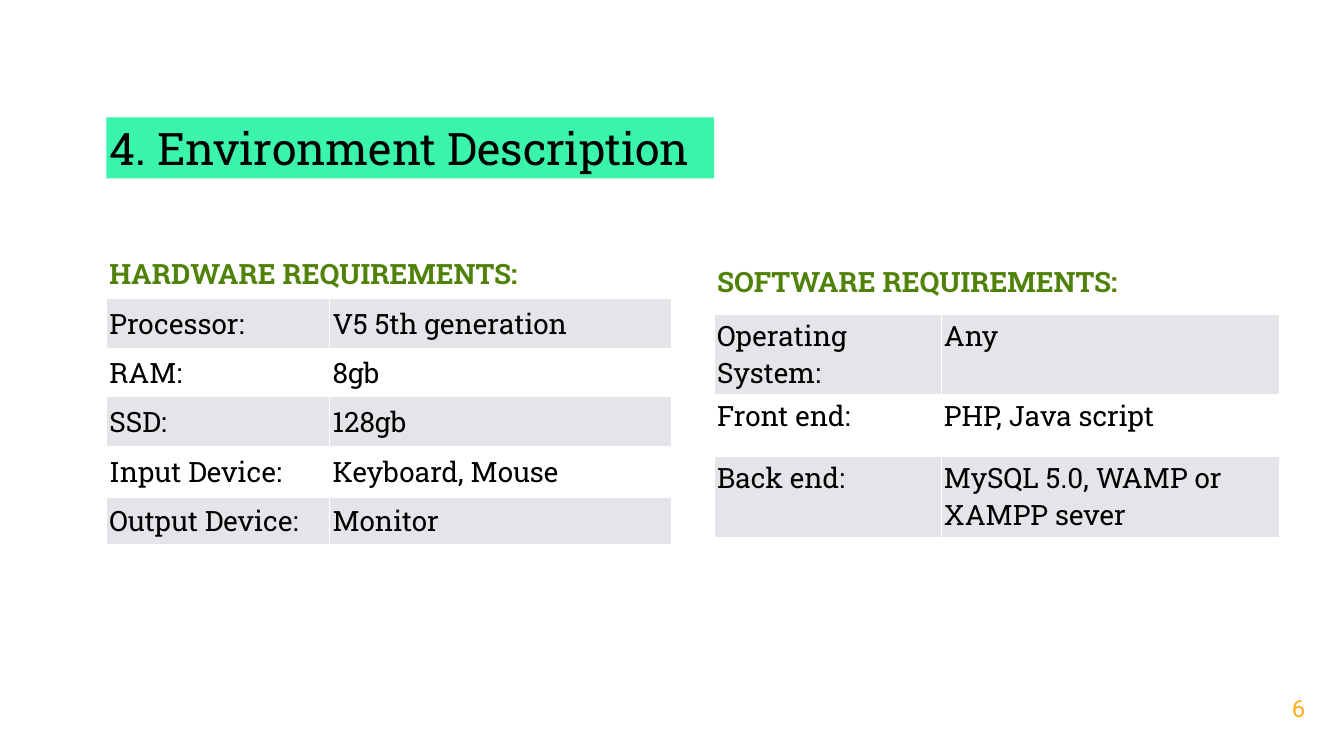
import pptx
import pptx.util
import pptx.dml.color
import pptx.enum.text
from dataclasses import dataclass

PX = 9144  # EMU per px, 100 px to the inch
INSET = 6
ANCHOR = pptx.enum.text.MSO_ANCHOR
ALIGN = pptx.enum.text.PP_ALIGN


@dataclass(frozen=True)
class Theme:
    slab: str = "Roboto Slab"
    sans: str = "Roboto"
    ink: str = "000000"
    heading: str = "508209"
    highlight: str = "3BF4AB"
    band: str = "E3E5E8"
    plain: str = "FFFFFF"
    number: str = "FFAD1D"
    title_size: int = 64
    table_size: int = 40
    number_size: int = 34


theme = Theme()


def write(frame, text, font=theme.slab, size=theme.table_size, color=theme.ink,
          bold=False, align=ALIGN.LEFT):
    para = frame.paragraphs[0]
    para.alignment = align
    span = para.add_run()
    span.text = text
    span.font.name = font
    span.font.size = pptx.util.Pt(size)
    span.font.bold = bold
    span.font.color.rgb = pptx.dml.color.RGBColor.from_string(color)


def paint(fill, color):
    fill.solid()
    fill.fore_color.rgb = pptx.dml.color.RGBColor.from_string(color)


deck = pptx.Presentation()
deck.slide_width = 2667 * PX
deck.slide_height = 1500 * PX
page = deck.slides.add_slide(deck.slide_layouts[5])
paint(page.background.fill, theme.plain)

# Title on its highlight bar
title = page.shapes.title
title.left, title.top, title.width, title.height = (n * PX for n in (211, 233, 1206, 121))
paint(title.fill, theme.highlight)
frame = title.text_frame
frame.auto_size = pptx.enum.text.MSO_AUTO_SIZE.NONE
frame.vertical_anchor = ANCHOR.MIDDLE
frame.margin_left = frame.margin_right = frame.margin_top = frame.margin_bottom = INSET * PX
write(frame, "4. Environment Description", size=theme.title_size)

# Requirement tables: left, column widths, row heights, body anchor, heading, rows
requirements = [
    (211, (443, 679), (100, 100, 94, 100, 100, 94), ANCHOR.MIDDLE,
     "HARDWARE REQUIREMENTS:", [
         ("Processor:", "V5 5th generation"),
         ("RAM:", "8gb"),
         ("SSD:", "128gb"),
         ("Input Device:", "Keyboard, Mouse"),
         ("Output Device:", "Monitor"),
     ]),
    (1417, (450, 672), (132, 132, 123, 160), ANCHOR.TOP,
     "SOFTWARE REQUIREMENTS:", [
         ("Operating System:", "Any"),
         ("Front end:", "PHP, Java script"),
         ("Back end:", "MySQL 5.0, WAMP or XAMPP sever"),
     ]),
]
for left, widths, heights, body_anchor, heading, rows in requirements:
    table = page.shapes.add_table(len(heights), 2, left * PX, 492 * PX,
                                  sum(widths) * PX, sum(heights) * PX).table
    table.horz_banding = False
    table.first_row = False
    for column, width in zip(table.columns, widths):
        column.width = width * PX
    for row, height in zip(table.rows, heights):
        row.height = height * PX
    table.cell(0, 0).merge(table.cell(0, 1))

    for r, texts in enumerate([(heading, ""), *rows]):
        for c, text in enumerate(texts):
            cell = table.cell(r, c)
            paint(cell.fill, theme.band if r % 2 else theme.plain)
            cell.margin_left = cell.margin_right = INSET * PX
            cell.margin_top = cell.margin_bottom = INSET * PX
            cell.vertical_anchor = body_anchor if r else ANCHOR.MIDDLE
            if text:
                write(cell.text_frame, text, bold=r == 0,
                      color=theme.ink if r else theme.heading)

# Page number
box = page.shapes.add_textbox(2562 * PX, 1376 * PX, 28 * PX, 57 * PX)
frame = box.text_frame
frame.margin_left = frame.margin_right = frame.margin_top = frame.margin_bottom = 0
frame.vertical_anchor = ANCHOR.MIDDLE
frame.word_wrap = True
write(frame, "6", font=theme.sans, size=theme.number_size, color=theme.number,
      align=ALIGN.RIGHT)

deck.save("out.pptx")
